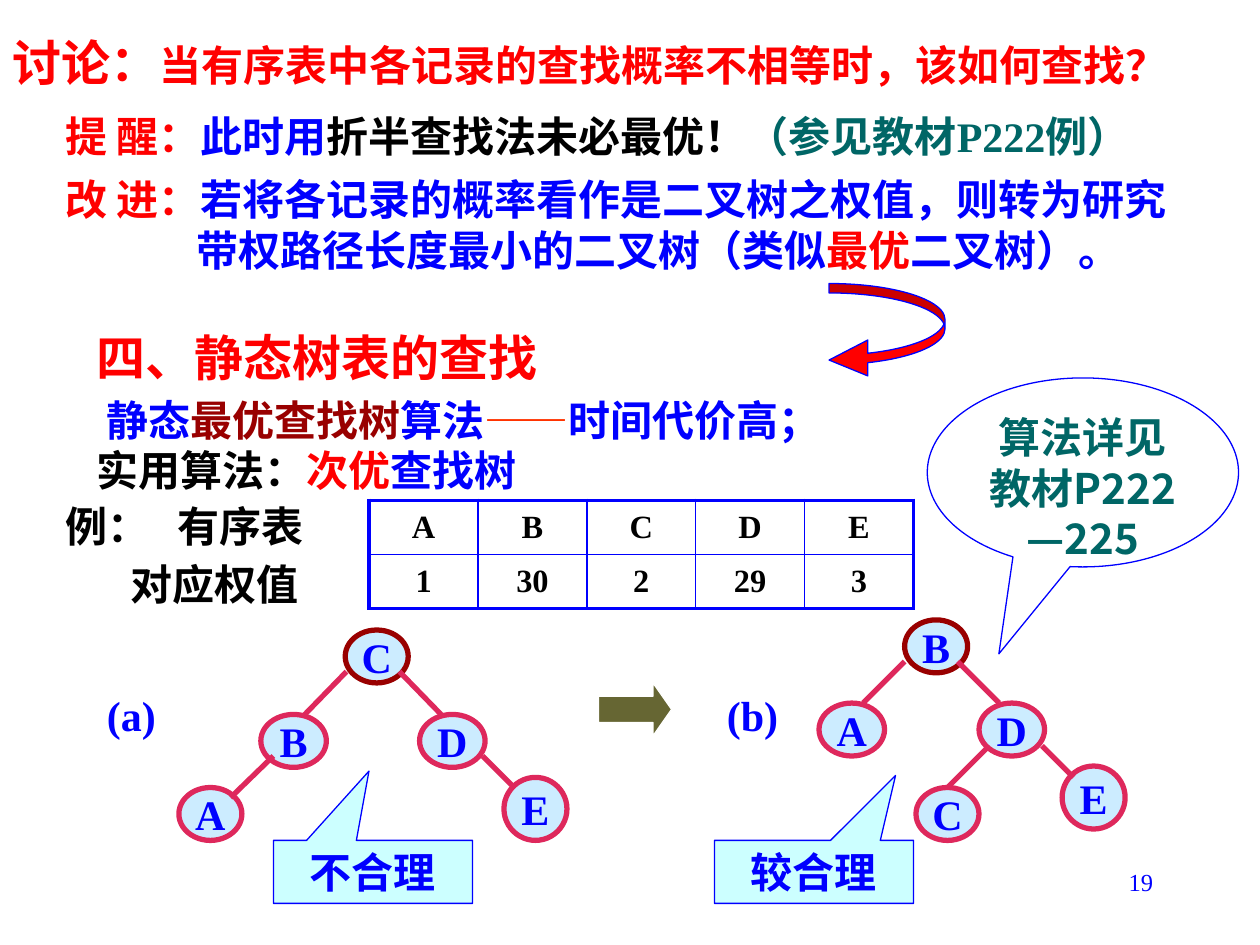
from lxml import etree
from pptx import Presentation
from pptx.dml.color import RGBColor
from pptx.enum.shapes import MSO_CONNECTOR, MSO_SHAPE
from pptx.enum.text import MSO_ANCHOR, PP_ALIGN
from pptx.oxml.ns import qn
from pptx.util import Inches, Pt

BLUE = RGBColor(0x00, 0x00, 0xFF)
RED = RGBColor(0xFF, 0x00, 0x00)
ORANGE = RGBColor(0xFF, 0x33, 0x00)
MAROON = RGBColor(0x99, 0x00, 0x00)
TEAL = RGBColor(0x00, 0x66, 0x66)
BLACK = RGBColor(0x00, 0x00, 0x00)
WHITE = RGBColor(0xFF, 0xFF, 0xFF)
CRIMSON = RGBColor(0xDE, 0x28, 0x5C)
PALE_BLUE = RGBColor(0xCC, 0xEC, 0xFF)
PALE_CYAN = RGBColor(0xCC, 0xFF, 0xFF)
OLIVE = RGBColor(0x66, 0x66, 0x33)

SERIF = "Times New Roman"
SANS = "Noto Sans CJK SC"
LEFT, CENTER, RIGHT = PP_ALIGN.LEFT, PP_ALIGN.CENTER, PP_ALIGN.RIGHT
TOP, MIDDLE = MSO_ANCHOR.TOP, MSO_ANCHOR.MIDDLE
STRAIGHT = MSO_CONNECTOR.STRAIGHT
ELLIPSE = MSO_SHAPE.OVAL


def write_text(shape, lines, size=24, font=SERIF, align=LEFT, anchor=TOP, wrap=True, bold=True):
    """Fill a shape with lines, each a list of (text, colour[, size]) spans."""
    frame = shape.text_frame
    frame.word_wrap = wrap
    frame.vertical_anchor = anchor
    for number, spans in enumerate(lines):
        para = frame.add_paragraph() if number else frame.paragraphs[0]
        para.alignment = align
        para.line_spacing = Pt(size * 1.2)
        for text, color, *own_size in spans:
            span = para.add_run()
            span.text = text
            span.font.size = Pt(own_size[0] if own_size else size)
            span.font.name = font
            span.font.bold = bold
            span.font.color.rgb = color
            east_asian = etree.SubElement(span.font._element, qn("a:ea"))
            east_asian.set("typeface", SANS)


def add_figure(parent, preset, place, fill, line, width=0.75, adjustments=()):
    figure = parent.add_shape(preset, *map(Inches, place))
    figure.shadow.inherit = False
    figure.fill.solid()
    figure.fill.fore_color.rgb = fill
    figure.line.color.rgb = line
    figure.line.width = Pt(width)
    for index, value in enumerate(adjustments):
        figure.adjustments[index] = value
    return figure


deck = Presentation()
deck.slide_width, deck.slide_height = Inches(10), Inches(7.5)
page = deck.slides.add_slide(deck.slide_layouts[6])

# Heading and discussion
heading = page.shapes.add_textbox(Inches(0.67), Inches(2.5), Inches(8.5), Inches(0.67))
write_text(heading, [[("四、静态树表的查找", RED)]], size=28, anchor=MIDDLE)

question = page.shapes.add_textbox(0, Inches(0.21), Inches(10), Inches(0.57))
write_text(question, [[("讨论：", RED), ("当有序表中各记录的查找概率不相等时，该如何查找？", RED, 24)]], size=28)

reminder = page.shapes.add_textbox(Inches(0.42), Inches(0.83), Inches(9.67), Inches(0.5))
write_text(reminder, [[("提 醒：", RED), ("此时用", BLUE), ("折半查找法未必最优！", BLACK),
                       ("（参见教材P222例）", TEAL)]])

improvement = page.shapes.add_textbox(Inches(0.42), Inches(1.33), Inches(9.08), Inches(0.9))
write_text(improvement, [[
    ("改 进：", RED),
    ("若将各记录的概率看作是二叉树之权值，则转为研究带权路径长度最小的二叉树（类似", BLUE),
    ("最优", RED), ("二叉树）。", BLUE)]])
hanging = improvement.text_frame.paragraphs[0]._p.get_or_add_pPr()
hanging.set("marL", str(Inches(1.04)))
hanging.set("indent", str(-Inches(1.04)))

add_figure(page.shapes, MSO_SHAPE.CURVED_LEFT_ARROW, (6.58, 2.25, 0.92, 0.75), RED, BLUE,
           adjustments=(0.1, 0.38, 0.41))

algorithms = page.shapes.add_textbox(Inches(0.67), Inches(3.08), Inches(7.67), Inches(0.9))
write_text(algorithms, [
    [("静态", BLUE), ("最优查找树", MAROON), ("算法", BLUE), ("——", ORANGE), ("时间代价高；", BLUE)],
    [("实用算法：", BLACK), ("次优", RED), ("查找树", BLUE)]])
algorithms.text_frame.paragraphs[0]._p.get_or_add_pPr().set("indent", str(Inches(0.08)))

# Search trees: nodes (letter, left, top, width, height), root first, then branches
trees = [
    ([("C", 2.74, 5, 0.5, 0.42), ("B", 2.07, 5.67, 0.52, 0.42), ("D", 3.33, 5.67, 0.52, 0.42),
      ("A", 1.42, 6.25, 0.5, 0.42), ("E", 4, 6.17, 0.5, 0.5)],
     [(2.75, 5.33, 2.42, 5.67), (3.17, 5.33, 3.5, 5.67),
      (2.17, 6, 1.83, 6.33), (3.83, 6, 4.08, 6.25)]),
    ([("B", 7.18, 4.92, 0.5, 0.42), ("A", 6.5, 5.58, 0.52, 0.42), ("D", 7.77, 5.58, 0.52, 0.42),
      ("C", 7.27, 6.25, 0.5, 0.42), ("E", 8.43, 6.08, 0.5, 0.5)],
     [(7.18, 5.25, 6.85, 5.58), (7.6, 5.25, 7.93, 5.58),
      (7.85, 5.92, 7.52, 6.25), (8.27, 5.92, 8.52, 6.17)]),
]
for nodes, branches in trees:
    tree = page.shapes.add_group_shape()
    for number, (letter, *place) in enumerate(nodes):
        outline = CRIMSON if number else MAROON
        node = add_figure(tree.shapes, ELLIPSE, place, PALE_BLUE, outline, width=3)
        write_text(node, [[(letter, BLUE)]], align=CENTER, anchor=MIDDLE, wrap=False)
    for ends in branches:
        branch = tree.shapes.add_connector(STRAIGHT, *map(Inches, ends))
        branch.line.color.rgb = CRIMSON
        branch.line.width = Pt(3)
        etree.SubElement(branch._element.spPr, qn("a:effectLst"))

for caption, left in (("(a)", 0.75), ("(b)", 5.67)):
    label = page.shapes.add_textbox(Inches(left), Inches(5.42), Inches(0.75), Inches(0.5))
    write_text(label, [[(caption, BLUE)]])

add_figure(page.shapes, MSO_SHAPE.RIGHT_ARROW, (4.75, 5.42, 0.58, 0.42), OLIVE, WHITE,
           adjustments=(0.5, 0.35))

# Weight table
rows = [("A", "B", "C", "D", "E"), ("1", "30", "2", "29", "3")]
row_total, column_total = len(rows), len(rows[0])
weights = page.shapes.add_table(row_total, column_total, Inches(2.93), Inches(3.97),
                                Inches(4.32), Inches(0.86)).table
for r, row in enumerate(rows):
    for c, value in enumerate(row):
        cell = weights.cell(r, c)
        cell.vertical_anchor = MIDDLE
        para = cell.text_frame.paragraphs[0]
        para.text = value
        para.alignment = CENTER
        font = para.runs[0].font
        font.size, font.name, font.bold = Pt(18.5), SERIF, True
        font.color.rgb = BLACK
        outer_sides = {"lnL": c == 0, "lnR": c == column_total - 1,
                       "lnT": r == 0, "lnB": r == row_total - 1}
        properties = cell._tc.get_or_add_tcPr()
        for side, is_outer in outer_sides.items():
            border = etree.SubElement(properties, qn("a:" + side), w=str(Pt(2.25 if is_outer else 1)))
            paint = etree.SubElement(border, qn("a:solidFill"))
            etree.SubElement(paint, qn("a:srgbClr"), val=str(BLUE))
        cell.fill.background()

for caption, left, top, width in (("例：", 0.42, 3.92, 0.85), ("有序表", 1.31, 3.92, 1.6),
                                  ("对应权值", 0.94, 4.38, 1.95)):
    label = page.shapes.add_textbox(Inches(left), Inches(top), Inches(width), Inches(0.5))
    write_text(label, [[(caption, BLACK)]], font=SANS)

# Callouts and page number
reference = add_figure(page.shapes, MSO_SHAPE.OVAL_CALLOUT, (7.36, 3, 2.47, 1.5), WHITE, BLUE,
                       adjustments=(-0.27, 0.96))
write_text(reference, [[("算法详见教材P222—225", TEAL)]], font=SANS, align=CENTER)

for verdict, left, pointer in (("不合理", 2.17, (-0.02, -1.6)), ("较合理", 5.67, (0.41, -1.53))):
    callout = add_figure(page.shapes, MSO_SHAPE.RECTANGULAR_CALLOUT, (left, 6.67, 1.58, 0.5),
                         PALE_CYAN, BLUE, adjustments=pointer)
    write_text(callout, [[(verdict, BLUE)]], align=CENTER)

page_number = page.shapes.add_textbox(Inches(7.17), Inches(6.83), Inches(2.08), Inches(0.5))
write_text(page_number, [[("19", BLUE)]], size=14, align=RIGHT, bold=False)

deck.save("out.pptx")
